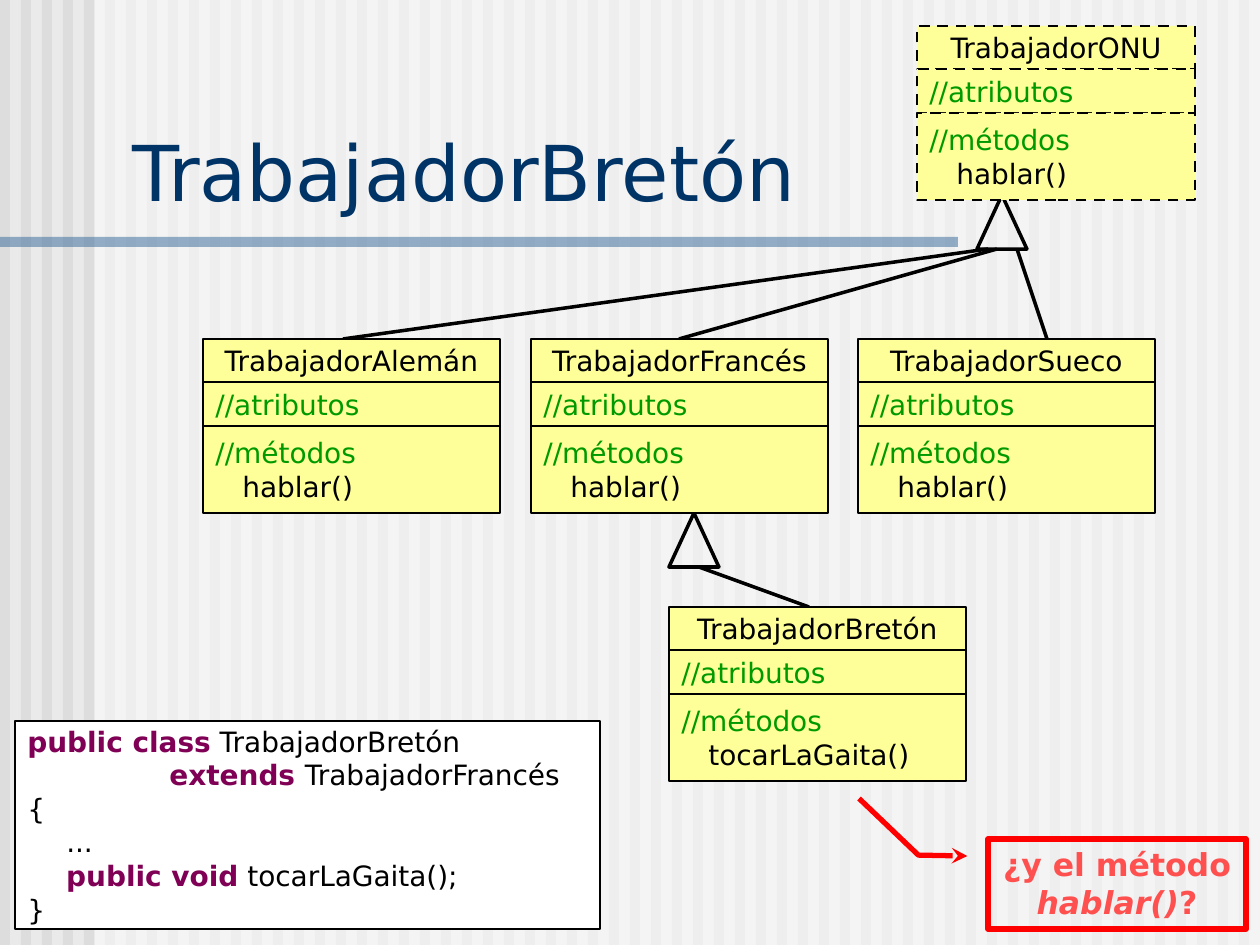
"""Build the TrabajadorBretón class inheritance slide."""
from lxml.etree import SubElement
from pptx import Presentation
from pptx.dml.color import RGBColor
from pptx.enum.dml import MSO_LINE
from pptx.enum.shapes import MSO_CONNECTOR, MSO_SHAPE
from pptx.enum.text import MSO_ANCHOR, PP_ALIGN
from pptx.oxml.ns import qn
from pptx.util import Pt

PX = 914400 / 126
THEME = {
    "font": "DejaVu Sans",
    "back": "EAEAEA", "stripe": "DDDDDD", "white": "FFFFFF", "bar": "336699",
    "card": "FFFF99", "line": "000000", "alert": "FF0000",
    "text": {
        "title": {"size": Pt(44), "color": "003366"},
        "plain": {"size": Pt(16), "color": "000000"},
        "note": {"size": Pt(16), "color": "009900"},
        "key": {"size": Pt(16), "color": "7F0055", "bold": True},
        "ask": {"size": Pt(18), "color": "FF5050", "bold": True},
        "call": {"size": Pt(18), "color": "FF5050", "bold": True, "italic": True},
    },
}


def draw(kind, box, fill=None, line=None, width=0.75, alpha=None):
    shape = slide.shapes.add_shape(kind, *[round(v * PX) for v in box])
    shape.shadow.inherit = False
    if fill:
        shape.fill.solid()
        shape.fill.fore_color.rgb = RGBColor.from_string(THEME[fill])
    else:
        shape.fill.background()
    if alpha:
        color = shape.fill._xPr.find(".//" + qn("a:srgbClr"))
        SubElement(color, qn("a:alpha"), val=str(alpha * 1000))
    if line:
        shape.line.color.rgb = RGBColor.from_string(THEME[line])
        shape.line.width = Pt(width)
    else:
        shape.line.fill.background()
    return shape


def write(shape, rows, align=PP_ALIGN.LEFT, anchor=MSO_ANCHOR.MIDDLE):
    frame = shape.text_frame
    frame.word_wrap = True
    frame.vertical_anchor = anchor
    for i, row in enumerate(rows):
        para = frame.add_paragraph() if i else frame.paragraphs[0]
        para.alignment = align
        for text, style in row:
            run = para.add_run()
            run.text = text
            run.font.name = THEME["font"]
            for key, value in THEME["text"][style].items():
                if key == "color":
                    run.font.color.rgb = RGBColor.from_string(value)
                else:
                    setattr(run.font, key, value)
    return frame


deck = Presentation()
deck.slide_width, deck.slide_height = round(1260 * PX), round(945 * PX)
slide = deck.slides.add_slide(deck.slide_layouts[6])
slide.background.fill.solid()
slide.background.fill.fore_color.rgb = RGBColor.from_string(THEME["back"])

RECT = MSO_SHAPE.RECTANGLE
for i in range(60):
    draw(RECT, (21 * i, 0, 10, 945), "stripe")
draw(RECT, (95, 0, 1165, 945), "white", alpha=50)
draw(RECT, (0, 237, 958, 10), "bar", alpha=50)

title = slide.shapes.add_textbox(*[round(v * PX) for v in (120, 118, 1125, 105)])
write(title, [[("TrabajadorBretón", "title")]], anchor=MSO_ANCHOR.BOTTOM)

code = [
    [("public class", "key"), (" TrabajadorBretón", "plain")],
    [("                ", "plain"), ("extends ", "key"), ("TrabajadorFrancés", "plain")],
    [("{", "plain")],
    [("    ", "key"), ("...", "plain")],
    [("    public void", "key"), (" tocarLaGaita();", "plain")],
    [("}", "plain")],
]
write(draw(RECT, (15, 721, 585, 208), "white", "line"), code)

for left, top in ((669, 513), (977, 195)):
    draw(MSO_SHAPE.ISOSCELES_TRIANGLE, (left, top, 50, 54), line="line", width=2)

links = [
    (699, 567, 809, 607),
    (1017, 249, 1047, 339),
    (988, 249, 343, 339),
    (997, 249, 679, 339),
]
for ends in links:
    link = slide.shapes.add_connector(MSO_CONNECTOR.STRAIGHT, *[round(v * PX) for v in ends])
    link.line.color.rgb = RGBColor.from_string(THEME["line"])
    link.line.width = Pt(2)
    SubElement(link._element.spPr, qn("a:effectLst"))

cards = [
    ("TrabajadorONU", 917, 26, 278, "hablar()", True),
    ("TrabajadorAlemán", 203, 339, 297, "hablar()", False),
    ("TrabajadorSueco", 858, 339, 297, "hablar()", False),
    ("TrabajadorFrancés", 531, 339, 297, "hablar()", False),
    ("TrabajadorBretón", 669, 607, 297, "tocarLaGaita()", False),
]
for name, left, top, width, method, dashed in cards:
    parts = [
        (0, 43, [[(name, "plain")]], PP_ALIGN.CENTER),
        (43, 44, [[("//atributos", "note")]], PP_ALIGN.LEFT),
        (87, 87, [[("//métodos", "note")], [(method, "plain")]], PP_ALIGN.LEFT),
    ]
    for shift, height, rows, align in parts:
        cell = draw(RECT, (left, top + shift, width, height), "card", "line", 1.5 if dashed else 0.75)
        if dashed:
            cell.line.dash_style = MSO_LINE.DASH
        frame = write(cell, rows, align)
    frame.paragraphs[1]._p.get_or_add_pPr().set("marL", str(round(27 * PX)))

callout = draw(MSO_SHAPE.LINE_CALLOUT_2, (988, 839, 258, 90), line="alert", width=3)
for i, value in enumerate((0.19, -0.08, 0.18, -0.27, -0.45, -0.5)):
    callout.adjustments[i] = value
SubElement(callout.line._get_or_add_ln(), qn("a:headEnd"), type="stealth")
ask = [[("¿y el método ", "ask"), ("hablar()", "call"), ("?", "ask")]]
write(callout, ask, PP_ALIGN.CENTER, MSO_ANCHOR.TOP)

deck.save("out.pptx")
